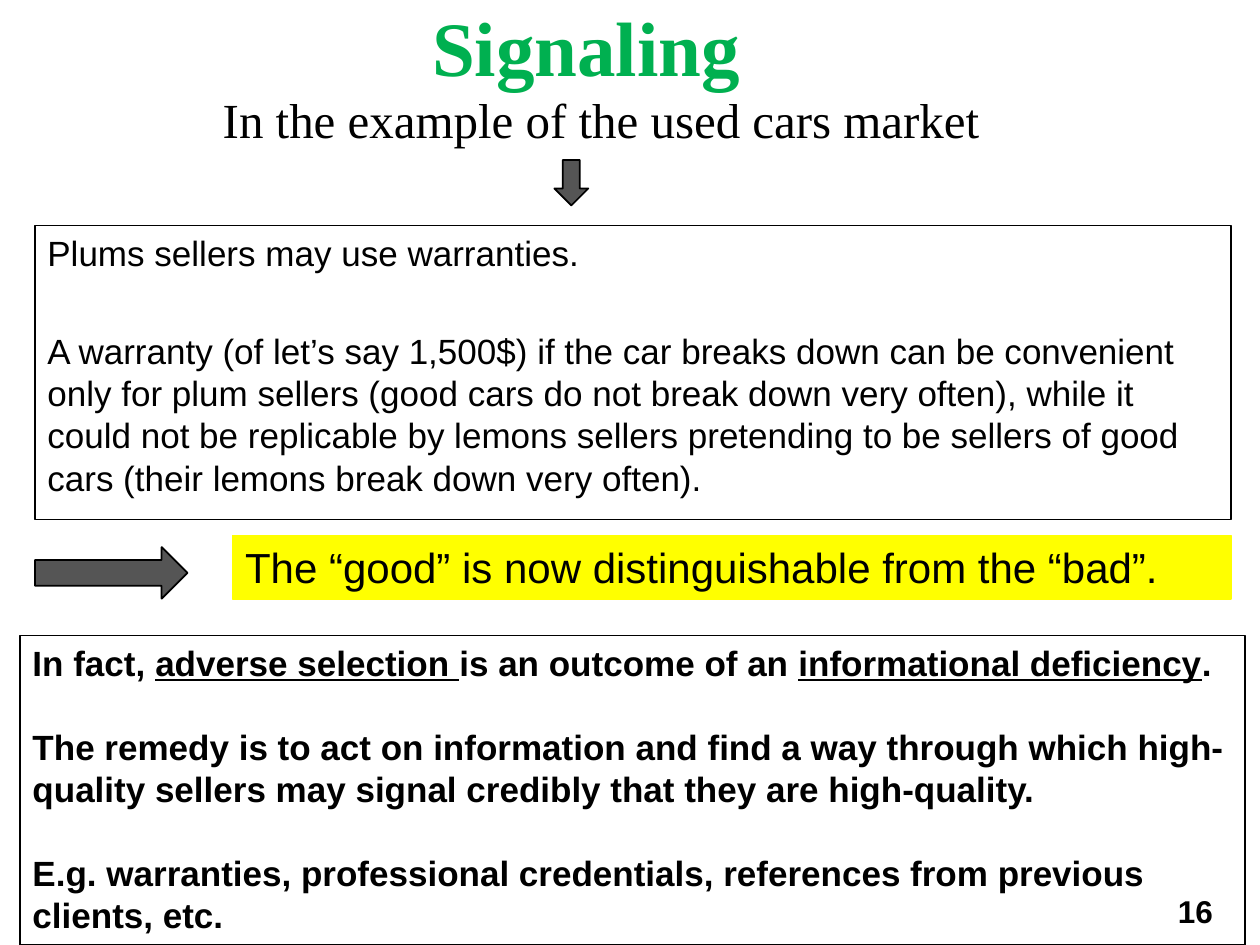
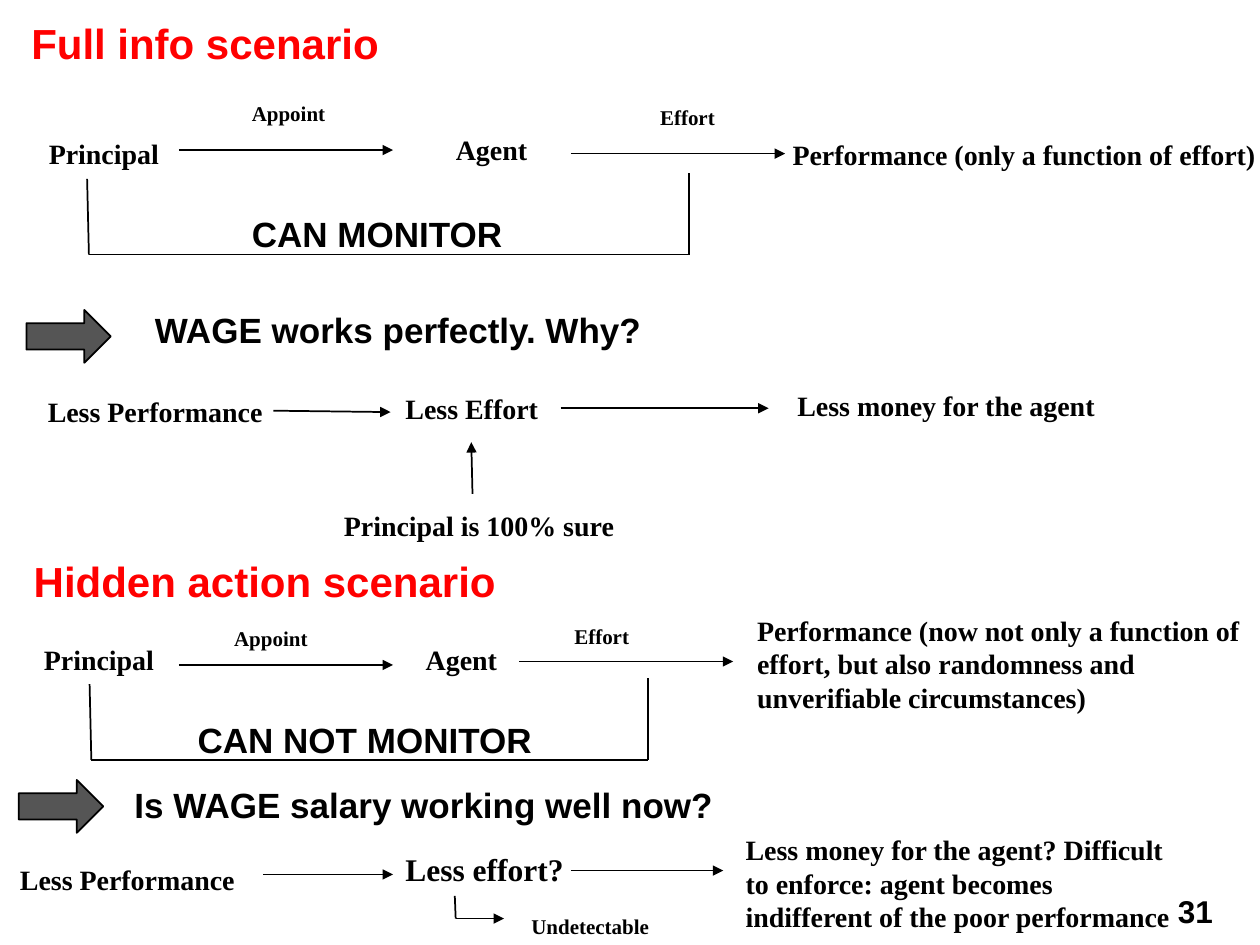
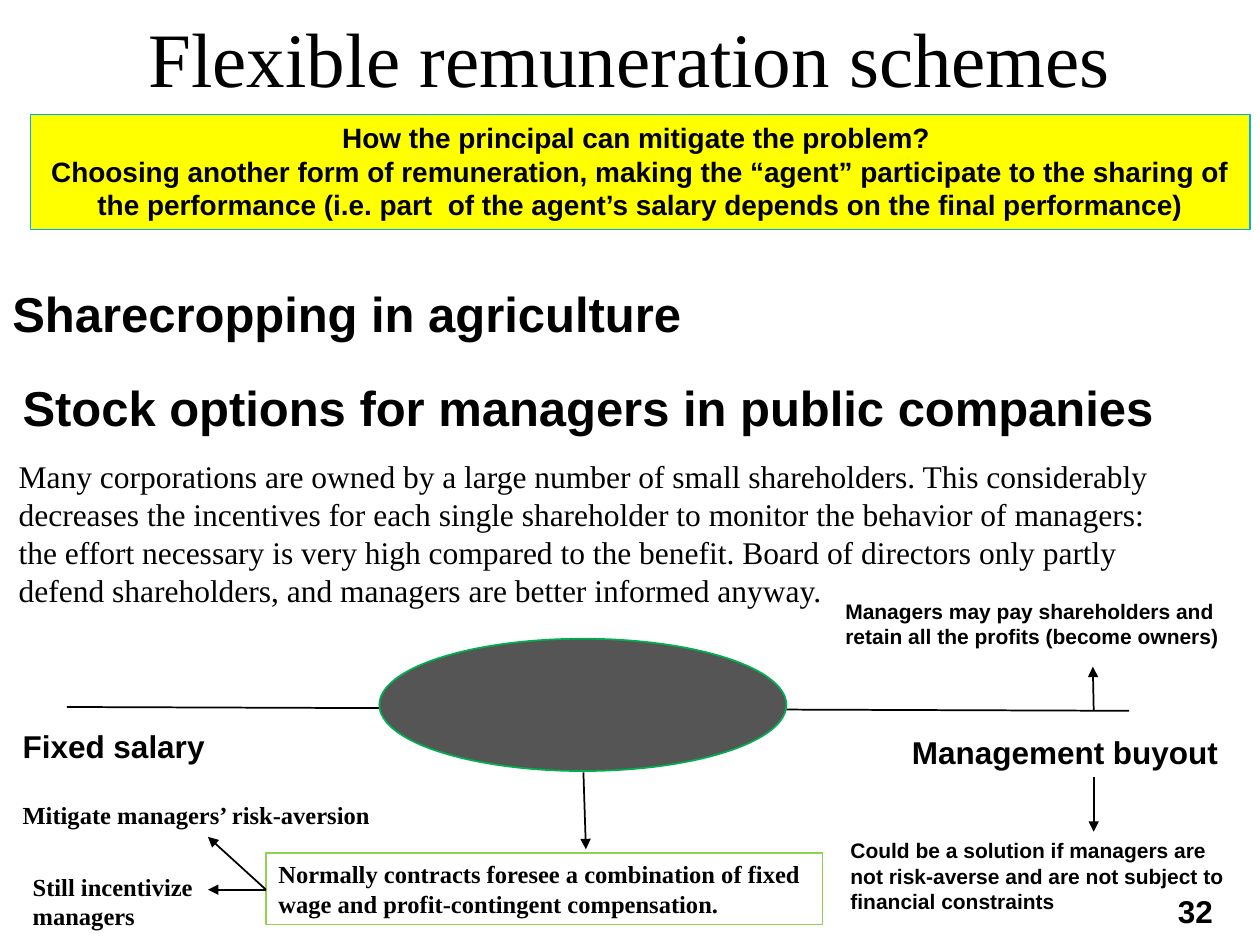
from collections import namedtuple

from pptx import Presentation
from pptx.dml.color import RGBColor
from pptx.enum import shapes, text
from pptx.oxml import ns
from pptx.util import Pt
from lxml import etree

BLACK = RGBColor(0x00, 0x00, 0x00)
RED = RGBColor(0xFF, 0x00, 0x00)
GREEN = RGBColor(0x00, 0xB0, 0x50)
LIME = RGBColor(0x92, 0xD0, 0x50)
BLUE = RGBColor(0x00, 0xB0, 0xF0)
YELLOW = RGBColor(0xFF, 0xFF, 0x00)
GREY = RGBColor(0x55, 0x55, 0x55)

SANS = "Arial"
SERIF = "Times New Roman"
PRESET = shapes.MSO_SHAPE
LEFT = text.PP_ALIGN.LEFT
CENTER = text.PP_ALIGN.CENTER

Style = namedtuple("Style", "font size bold color", defaults=(True, BLACK))
TITLE = Style(SERIF, 44, False)
SUBTITLE = Style(SERIF, 28, False)
SIGNAL = Style(SERIF, 44, True, GREEN)
HEADING = Style(SANS, 28)
SCENARIO = Style(SANS, 24, True, RED)
CLAIM = Style(SANS, 24, False)
BODY = Style(SANS, 20, False)
STRONG = Style(SANS, 20)
POLE = Style(SANS, 18)
BANNER = Style(SANS, 16)
REMARK = Style(SANS, 12)
PROSE = Style(SERIF, 18, False)
EFFECT = Style(SERIF, 18)
STEP = Style(SERIF, 16)
CONTRACT = Style(SERIF, 14)
ACTION = Style(SERIF, 12)


def style_text(frame, style, align=LEFT):
    """Apply one text style to every run of a frame."""
    for paragraph in frame.paragraphs:
        paragraph.alignment = align
        for run in paragraph.runs:
            run.font.name = style.font
            run.font.size = Pt(style.size)
            run.font.bold = style.bold
            run.font.color.rgb = style.color


def add_text(slide, box, words, style, align=LEFT, wrap=True):
    """Place unframed text in a box of (left, top, width, height)."""
    frame = slide.shapes.add_textbox(*map(Pt, box)).text_frame
    frame.word_wrap = wrap
    frame.text = words
    style_text(frame, style, align)
    return frame


def add_label(slide, left, top, width, words, style):
    """Place a one-line label whose height follows its text size."""
    add_text(slide, (left, top, width, style.size * 1.2 + 7.2), words, style)


def add_preset(slide, preset, box, fill=None, line=BLACK, weight=1):
    """Draw a flat preset shape, hollow when no fill is given."""
    shape = slide.shapes.add_shape(preset, *map(Pt, box))
    shape.shadow.inherit = False
    if fill is None:
        shape.fill.background()
    else:
        shape.fill.solid()
        shape.fill.fore_color.rgb = fill
    shape.line.color.rgb = line
    shape.line.width = Pt(weight)
    return shape


def add_panel(slide, box, words, style, fill=None, line=BLACK, align=LEFT):
    """Draw a rectangle with text that starts at its top."""
    shape = add_preset(slide, PRESET.RECTANGLE, box, fill, line, 0.75)
    frame = shape.text_frame
    frame.word_wrap = True
    frame.vertical_anchor = text.MSO_ANCHOR.TOP
    frame.text = words
    style_text(frame, style, align)
    return frame


def add_path(slide, points, arrow=True):
    """Join points with straight lines, ending in an optional arrowhead."""
    for start, end in zip(points, points[1:]):
        line = slide.shapes.add_connector(
            shapes.MSO_CONNECTOR.STRAIGHT, *map(Pt, start + end))
        line.line.color.rgb = BLACK
        line.line.width = Pt(1)
        properties = line._element.spPr
        etree.SubElement(properties, ns.qn("a:effectLst"))
        if arrow and end == points[-1]:
            outline = properties.find(ns.qn("a:ln"))
            etree.SubElement(outline, ns.qn("a:tailEnd"), type="triangle")


def add_flow(slide, left, top, length):
    """Draw a horizontal arrow of the given length."""
    add_path(slide, [(left, top), (left + length, top)])


def add_slide(presentation, number):
    """Add a blank slide with its page number."""
    slide = presentation.slides.add_slide(presentation.slide_layouts[6])
    add_text(slide, (666, 506.2, 36.7, 28.8), number, POLE, wrap=False)
    return slide


def add_title(slide, left, top, words, style):
    """Place a full-width centred title, anchored in its middle."""
    frame = add_text(slide, (left, top, 720, 113.8), words, style, CENTER)
    frame.vertical_anchor = text.MSO_ANCHOR.MIDDLE


def warranty_region(slide, left, top, width):
    """Explain the warranty and conclude with the highlighted claim."""
    frame = add_panel(
        slide, (left, top, width, 167.8),
        "Plums sellers may use warranties.\n"
        "A warranty (of let’s say 1,500$) if the car breaks down can be "
        "convenient only for plum sellers (good cars do not break down very "
        "often), while it could not be replicable by lemons sellers pretending "
        "to be sellers of good cars (their lemons break down very often).",
        BODY)
    for paragraph, gap in zip(frame.paragraphs, (4, 32)):
        paragraph.space_before = Pt(gap)
    add_preset(slide, PRESET.RIGHT_ARROW, (left, top + 183.6, 87.1, 29.5), GREY)
    add_panel(slide, (left + 113, top + 177, width - 113, 36.4),
              "The “good” is now distinguishable from the “bad”.",
              CLAIM, YELLOW, YELLOW)


def remedy_region(slide, left, top, width, height):
    """Frame the remedy text with its two underlined terms."""
    frame = add_panel(
        slide, (left, top, width, height),
        "In fact, \n"
        "The remedy is to act on information and find a way through which "
        "high-quality sellers may signal credibly that they are high-quality.\n"
        "E.g. warranties, professional credentials, references from previous "
        "clients, etc.", STRONG)
    fact = frame.paragraphs[0]
    for words, underlined in (("adverse selection ", True),
                              ("is an outcome of an ", False),
                              ("informational deficiency", True),
                              (".", False)):
        run = fact.add_run()
        run.text = words
        run.font.underline = underlined
    style_text(frame, STRONG)
    for paragraph in frame.paragraphs[1:]:
        paragraph.space_before = Pt(24)


def signaling_slide(presentation):
    """Build the slide on signaling."""
    slide = add_slide(presentation, "16")
    add_title(slide, -16.5, 10.8, "In the example of the used cars market",
              SUBTITLE)
    add_text(slide, (239.8, -3.6, 192.2, 60.5), "Signaling", SIGNAL, wrap=False)
    add_preset(slide, PRESET.DOWN_ARROW, (316.8, 91.4, 19.4, 26), GREY)
    warranty_region(slide, 20, 129, 683.5)
    remedy_region(slide, 11.5, 363, 700, 177)


def monitor_region(slide, left, top, heading, labels, second_flow, bracket,
                   caption, question):
    """Show who appoints whom, the monitoring bracket and the question."""
    add_label(slide, left, top, 309.6, heading, SCENARIO)
    for words, x, y, width, style in labels:
        add_label(slide, left + x, top + y, width, words, style)
    flow_x, flow_y = second_flow
    add_flow(slide, 102.2, top + flow_y + 2 * (flow_y < 70) - 2 * (flow_y > 70),
             122.4)
    add_flow(slide, left + flow_x, top + flow_y, 122.4)
    right, bottom = bracket
    right, bottom = left + right, top + bottom
    add_path(slide, [(left + 39, bottom - 43.2), (left + 40, bottom),
                     (right, bottom), (right, bottom - 46.8)], arrow=False)
    words, x, width = caption
    add_label(slide, left + x, bottom - 27.4, width, words, STRONG)
    words, x, y, arrow_x, arrow_y = question
    add_preset(slide, PRESET.RIGHT_ARROW,
               (left + arrow_x, top + arrow_y, 48.2, 30.2), GREY)
    add_label(slide, left + x, top + y, 489.6, words, STRONG)


def full_info_region(slide, left, top):
    """Show the scenario in which the principal sees the effort."""
    monitor_region(
        slide, left, top, "Full info scenario",
        [("Principal", 10, 67.7, 103.7, STEP),
         ("Agent", 242.6, 65.5, 103.7, STEP),
         ("Appoint", 126, 47.5, 72.7, ACTION),
         ("Effort", 359.3, 49.7, 72.7, ACTION),
         ("Performance (only a function of effort)", 435, 68.4, 301, STEP)],
        (315.4, 81.3), (383, 139), ("CAN MONITOR", 126, 302.4),
        ("WAGE works perfectly. Why?", 70.6, 166.3, 4.3, 170.6))
    for words, x, y, width in (
            ("Less Performance", 9.4, 215.3, 301),
            ("Less Effort", 213.8, 213.8, 301),
            ("Less money for the agent", 437.8, 211.7, 196.6),
            ("Principal is 100% sure", 178.6, 280.8, 301)):
        add_label(slide, left + x, top + y, width, words, STEP)
    add_path(slide, [(left + 145.4, top + 228.2), (left + 212.4, top + 229)])
    add_flow(slide, left + 309.6, top + 226.8, 118.8)
    add_path(slide, [(left + 259.2, top + 275.7), (left + 258.5, top + 246.2)])


def hidden_action_region(slide, left, top):
    """Show the scenario in which the effort stays hidden."""
    monitor_region(
        slide, left, top, "Hidden action scenario",
        [("Principal", 5.8, 49.7, 103.7, STEP),
         ("Agent", 224, 49.7, 103.7, STEP),
         ("Appoint", 114.5, 40.3, 72.7, ACTION),
         ("Effort", 308.9, 38.9, 72.7, ACTION)],
        (284.4, 64.1), (358, 120.3), ("CAN NOT MONITOR", 93.6, 234),
        ("Is WAGE salary working well now?", 57.6, 130.3, -1.4, 131.8))
    for words, x, y, width in (
            ("Performance (now not only a function of effort, but also "
             "randomness and unverifiable circumstances)", 413.3, 33.1, 301),
            ("Less money for the agent? Difficult to enforce: agent becomes "
             "indifferent of the poor performance", 406.8, 158.4, 264.2)):
        add_text(slide, (left + x, top + y, width, 65.5), words, STEP)
    for words, x, y, width, style in (
            ("Less Performance", -7.9, 175.7, 301, STEP),
            ("Less effort?", 212.4, 168.5, 133.2, EFFECT),
            ("Undetectable", 284.4, 204.5, 122.4, ACTION)):
        add_label(slide, left + x, top + y, width, words, style)
    add_flow(slide, left + 138.2, top + 185.8, 74.2)
    add_flow(slide, left + 314, top + 183.6, 87.1)
    add_path(slide, [(left + 247.7, top + 198), (left + 248.2, top + 211),
                     (left + 275.8, top + 211)])


def scenarios_slide(presentation):
    """Build the slide that compares the two scenarios."""
    slide = add_slide(presentation, "31")
    full_info_region(slide, 10.8, 6.5)
    hidden_action_region(slide, 12.2, 313.9)


def examples_region(slide, left, top):
    """List the flexible schemes with the reason for stock options."""
    add_label(slide, left, top, 607, "Sharecropping in agriculture", HEADING)
    add_label(slide, left + 5.8, top + 54, 708.5,
              "Stock options for managers in public companies", HEADING)
    add_text(slide, (left + 3.6, top + 99.4, 675.4, 94.3),
             "Many corporations are owned by a large number of small "
             "shareholders. This considerably decreases the incentives for each "
             "single shareholder to monitor the behavior of managers: the effort "
             "necessary is very high compared to the benefit. Board of directors "
             "only partly defend shareholders, and managers are better informed "
             "anyway.", PROSE)


def buyout_region(slide, left, top):
    """Describe the buyout end of the pay range."""
    add_text(slide, (left, top, 235.4, 36), "Managers may pay shareholders and "
             "retain all the profits (become owners)", REMARK)
    add_label(slide, left + 38, top + 77, 200.2, "Management buyout", POLE)
    add_text(slide, (left + 2.9, top + 136.8, 235.4, 51.1),
             "Could be a solution if managers are not risk-averse and are not "
             "subject to financial constraints", REMARK)
    add_path(slide, [(left + 149, top + 67.7), (left + 148.5, top + 42.5)])
    add_path(slide, [(left + 149, top + 105.8), (left + 149, top + 136.8)])


def contract_region(slide, left, top):
    """Describe the usual contract and its two purposes."""
    add_label(slide, left, top, 226, "Mitigate managers’ risk-aversion", CONTRACT)
    add_text(slide, (left + 5.8, top + 41, 120.2, 41),
             "Still incentivize managers", CONTRACT)
    add_panel(slide, (left + 146.2, top + 33.8, 318.2, 41),
              "Normally contracts foresee a combination of fixed wage and "
              "profit-contingent compensation.", CONTRACT, line=LIME)
    for tip in (24.5, 54.7):
        add_path(slide, [(left + 146.2, top + 54.7), (left + 113, top + tip)])


def pay_range_region(slide, left, top, width):
    """Draw the range from fixed salary to management buyout."""
    add_path(slide, [(left, top), (left + width, top + 2.2)], arrow=False)
    add_preset(slide, PRESET.OVAL, (left + 178.6, top - 39, 232.6, 75.6),
               GREY, GREEN)
    add_path(slide, [(left + 295.2, top + 37.4), (left + 296.6, top + 81.3)])
    add_label(slide, left - 32.4, top + 7.9, 126, "Fixed salary", POLE)
    buyout_region(slide, left + 437.8, top - 65.5)
    contract_region(slide, left - 32.4, top + 49.7)


def remuneration_slide(presentation):
    """Build the slide on flexible remuneration."""
    slide = add_slide(presentation, "32")
    add_title(slide, 0, -24.5, "Flexible remuneration schemes", TITLE)
    add_panel(slide, (17.3, 65.5, 697, 65.5),
              "How the principal can mitigate the problem? \n"
              "Choosing another form of remuneration, making the “agent” "
              "participate to the sharing of the performance (i.e. part  of the "
              "agent’s salary depends on the final performance)",
              BANNER, YELLOW, BLUE, CENTER)
    examples_region(slide, 0, 158.4)
    pay_range_region(slide, 38.2, 404, 607)


def main():
    """Build and save the presentation."""
    presentation = Presentation()
    presentation.slide_width = Pt(720)
    presentation.slide_height = Pt(540)
    signaling_slide(presentation)
    scenarios_slide(presentation)
    remuneration_slide(presentation)
    presentation.save("out.pptx")


if __name__ == "__main__":
    main()
